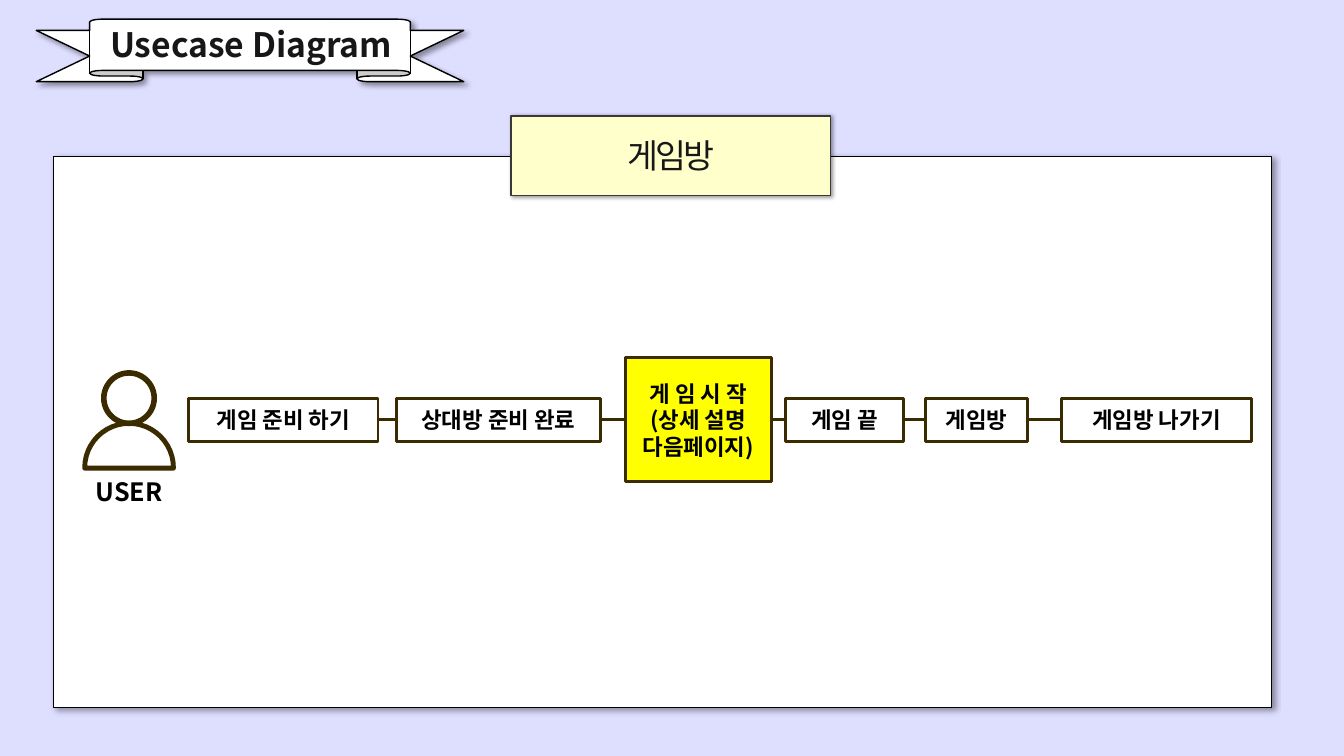
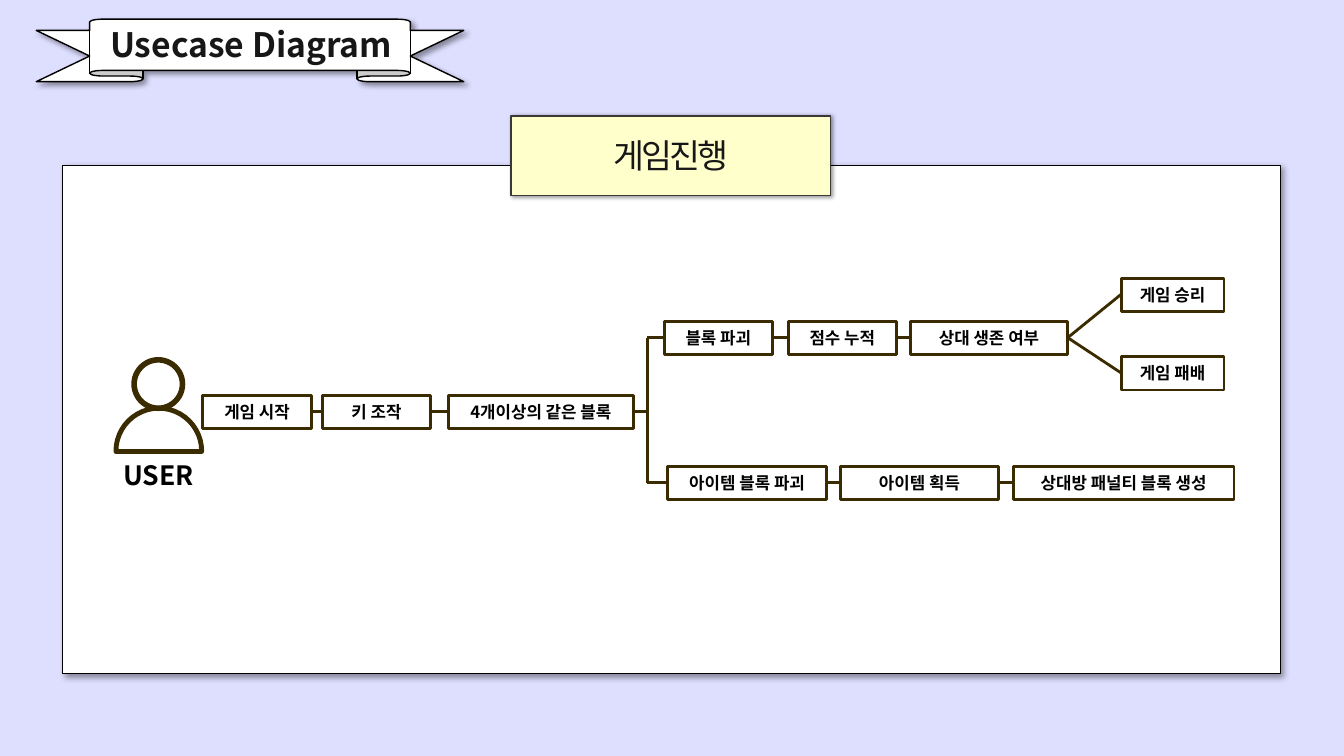
from lxml import etree
from pptx import Presentation
from pptx.dml.color import RGBColor
from pptx.enum.shapes import MSO_CONNECTOR, MSO_SHAPE
from pptx.enum.text import MSO_ANCHOR, PP_ALIGN
from pptx.oxml.ns import qn
from pptx.util import Pt

PX = 9144  # EMU per px, 100 px to the inch
FONT = "Noto Sans CJK KR"
RECT, RIBBON = MSO_SHAPE.RECTANGLE, MSO_SHAPE.UP_RIBBON
CHORD, OVAL = MSO_SHAPE.CHORD, MSO_SHAPE.OVAL
STRAIGHT = MSO_CONNECTOR.STRAIGHT
CENTER, MIDDLE = PP_ALIGN.CENTER, MSO_ANCHOR.MIDDLE

LAVENDER = RGBColor(0xDE, 0xDE, 0xFF)
WHITE = RGBColor(0xFF, 0xFF, 0xFF)
BLACK = RGBColor(0x00, 0x00, 0x00)
INK = RGBColor(0x18, 0x17, 0x17)
CREAM = RGBColor(0xFF, 0xFF, 0xCC)
GRAY = RGBColor(0x3B, 0x38, 0x38)
YELLOW = RGBColor(0xFF, 0xFF, 0x00)
BROWN = RGBColor(0x3A, 0x2C, 0x00)

MARGINS = {"margin_left": 13 * PX, "margin_right": 13 * PX,
           "margin_top": 7 * PX, "margin_bottom": 7 * PX}

# Each row: middle y, box height, text size, boxes as (text, left, width)
PAGES = [
    {
        "tab": "게임방",
        "panel": (53, 155, 1208, 547),
        "user": (84, 420, 88, 18),
        "rows": [
            (416, 43, 16, [("게임 준비 하기", 187, 188), ("상대방 준비 완료", 393, 203),
                           ("게 임 시 작\n(상세 설명 다음페이지)", 620, 145),
                           ("게임 끝", 779, 117), ("게임방", 918, 101),
                           ("게임방 나가기", 1053, 188)]),
        ],
        "branches": [],
    },
    {
        "tab": "게임진행",
        "panel": (62, 164, 1208, 504),
        "user": (115, 405, 85, 19),
        "rows": [
            (408, 33, 12, [("게임 시작", 201, 108), ("키 조작", 320, 107),
                           ("4개이상의 같은 블록", 445, 183)]),
            (335, 33, 12, [("블록 파괴", 659, 107), ("점수 누적", 782, 107),
                           ("상대 생존 여부", 903, 156)]),
            (479, 33, 12, [("아이템 블록 파괴", 662, 158), ("아이템 획득", 834, 156),
                           ("상대방 패널티 블록 생성", 1005, 219)]),
            (292, 33, 12, [("게임 승리", 1112, 102)]),
            (370, 33, 12, [("게임 패배", 1112, 102)]),
        ],
        "branches": [
            (628, 408, 642, 408),
            (642, 335, 642, 408), (642, 408, 642, 479),
            (642, 335, 659, 335), (642, 479, 662, 479),
            (1059, 335, 1112, 292), (1059, 335, 1112, 370),
        ],
    },
]


def add_box(page, kind, at, fill=None, line=None, weight=1, shadow=None,
            text="", size=16, color=BLACK, bold=True, spacing=0):
    """Add a preset shape, or a text box when kind is None."""
    place = [value * PX for value in at]
    if kind is None:
        box = page.shapes.add_textbox(*place)
    else:
        box = page.shapes.add_shape(kind, *place)
        box.shadow.inherit = False
    if fill is None:
        box.fill.background()
    else:
        box.fill.solid()
        box.fill.fore_color.rgb = fill
    if line is None:
        box.line.fill.background()
    else:
        box.line.color.rgb = line
        box.line.width = Pt(weight)
    if shadow:
        blur, distance = shadow
        effects = box._element.spPr.find(qn("a:effectLst"))
        outer = etree.SubElement(effects, qn("a:outerShdw"), blurRad=str(Pt(blur)),
                                 dist=str(Pt(distance)), dir="2700000",
                                 algn="tl", rotWithShape="0")
        tint = etree.SubElement(outer, qn("a:srgbClr"), val=str(BLACK))
        etree.SubElement(tint, qn("a:alpha"), val="40000")
    if text:
        frame = box.text_frame
        frame_format = {"word_wrap": True, "vertical_anchor": MIDDLE, **MARGINS}
        for name, value in frame_format.items():
            setattr(frame, name, value)
        for index, words in enumerate(text.split("\n")):
            para = frame.add_paragraph() if index else frame.paragraphs[0]
            para.alignment = CENTER
            para.line_spacing = Pt(round(size * 1.2))
            span = para.add_run()
            span.text = words
            for name, value in {"name": FONT, "size": Pt(size), "bold": bold}.items():
                setattr(span.font, name, value)
            span.font.color.rgb = color
            marks = span.font._element
            etree.SubElement(marks, qn("a:ea"), typeface=FONT)
            if spacing:
                marks.set("spc", str(spacing * 100))
    return box


def add_line(page, left, top, right, bottom):
    link = page.shapes.add_connector(STRAIGHT, left * PX, top * PX, right * PX, bottom * PX)
    link.line.color.rgb = BROWN
    link.line.width = Pt(2)
    etree.SubElement(link._element.spPr, qn("a:effectLst"))


deck = Presentation()
deck.slide_width, deck.slide_height = 1333 * PX, 750 * PX

for content in PAGES:
    page = deck.slides.add_slide(deck.slide_layouts[6])
    page.background.fill.solid()
    page.background.fill.fore_color.rgb = LAVENDER

    # Panel, title ribbon and tab
    add_box(page, RECT, content["panel"], WHITE, BLACK, shadow=(4, 3))
    ribbon = add_box(page, RIBBON, (36, 19, 424, 62), WHITE, BLACK, shadow=(4, 3))
    ribbon.adjustments[0], ribbon.adjustments[1] = 0.18, 0.75
    add_box(page, None, (95, 17, 308, 54), text="Usecase Diagram", size=24, color=INK)
    add_box(page, RECT, (507, 115, 317, 79), CREAM, GRAY, shadow=(3, 1))
    add_box(page, None, (486, 129, 359, 50), text=content["tab"], size=24,
            color=INK, bold=False, spacing=-2)

    # User figure: shoulders, head and label share one middle
    left, top, body, label_size = content["user"]
    middle, head = left + body // 2, round(body * 0.57)
    shoulders = add_box(page, CHORD, (left, top, body, body), line=BROWN, weight=3.5)
    shoulders.adjustments[0], shoulders.adjustments[1] = 107.64, 0.33
    add_box(page, OVAL, (middle - head // 2, top - head, head, head), line=BROWN, weight=4)
    add_box(page, None, (middle - 48, top + body // 2 + 2, 96, 43), text="USER", size=label_size)

    # Rows of steps, each joined to the one before
    for row_middle, row_height, size, steps in content["rows"]:
        previous_right = None
        for text, left, width in steps:
            detailed = "\n" in text
            height = 123 if detailed else row_height
            add_box(page, RECT, (left, row_middle - height // 2, width, height),
                    YELLOW if detailed else None, BROWN, 2, text=text, size=size)
            if previous_right is not None:
                add_line(page, previous_right, row_middle, left, row_middle)
            previous_right = left + width

    # Branching lines between rows
    for ends in content["branches"]:
        add_line(page, *ends)

deck.save("out.pptx")
